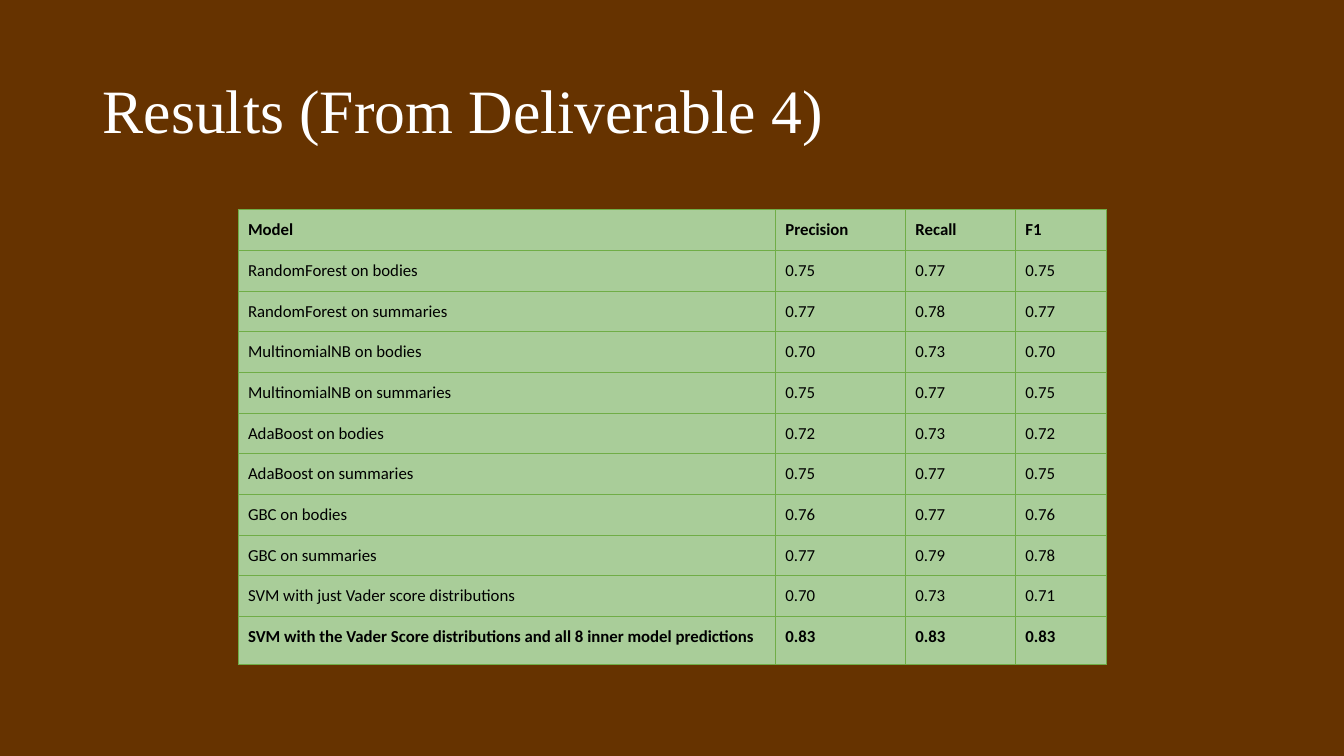
"""Build the model results slide with its score table."""
from lxml import etree
from pptx import Presentation, util as u
from pptx.dml.color import RGBColor
from pptx.enum import text
from pptx.oxml.ns import qn

TITLE = "Results (From Deliverable 4)"
ROWS = [
    ("Model", "Precision", "Recall", "F1"),
    ("RandomForest on bodies", "0.75", "0.77", "0.75"),
    ("RandomForest on summaries", "0.77", "0.78", "0.77"),
    ("MultinomialNB on bodies", "0.70", "0.73", "0.70"),
    ("MultinomialNB on summaries", "0.75", "0.77", "0.75"),
    ("AdaBoost on bodies", "0.72", "0.73", "0.72"),
    ("AdaBoost on summaries", "0.75", "0.77", "0.75"),
    ("GBC on bodies", "0.76", "0.77", "0.76"),
    ("GBC on summaries", "0.77", "0.79", "0.78"),
    ("SVM with just Vader score distributions", "0.70", "0.73", "0.71"),
    ("SVM with the Vader Score distributions and all 8 inner model predictions",
     "0.83", "0.83", "0.83"),
]
COLORS = {"background": "663300", "title": "FFFFFF", "cell": "A9CD99",
          "border": "70AD47", "text": "000000"}
COLUMN_WIDTHS = [5.33, 1.29, 1.09, 0.9]
ROW_HEIGHTS = [0.4] * (len(ROWS) - 1) + [0.48]
BOLD_ROWS = {0, len(ROWS) - 1}


def color(name):
    return RGBColor.from_string(COLORS[name])


def style_font(font, name, size, color_name, bold=False):
    font.name, font.size, font.bold = name, u.Pt(size), bold
    font.color.rgb = color(color_name)


def add_borders(cell):
    properties = cell._tc.get_or_add_tcPr()
    for index, side in enumerate(("lnL", "lnR", "lnT", "lnB")):
        line = etree.Element(qn(f"a:{side}"), w=str(u.Pt(0.5)))
        fill = etree.SubElement(line, qn("a:solidFill"))
        etree.SubElement(fill, qn("a:srgbClr"), val=COLORS["border"])
        properties.insert(index, line)


def fill_cell(cell, content, bold):
    cell.text = content
    cell.margin_left = cell.margin_right = u.Inches(0.1)
    cell.margin_top = cell.margin_bottom = u.Inches(0.1)
    cell.fill.solid()
    cell.fill.fore_color.rgb = color("cell")
    style_font(cell.text_frame.paragraphs[0].font, "Calibri", 12, "text", bold)
    add_borders(cell)


presentation = Presentation()
presentation.slide_width, presentation.slide_height = u.Inches(13.33), u.Inches(7.5)
slide = presentation.slides.add_slide(presentation.slide_layouts[5])
slide.background.fill.solid()
slide.background.fill.fore_color.rgb = color("background")

title = slide.shapes.title
title.left, title.top, title.width, title.height = map(u.Inches, (0.92, 0.4, 11.5, 1.45))
title.text_frame.text = TITLE
title.text_frame.vertical_anchor = text.MSO_ANCHOR.MIDDLE
paragraph = title.text_frame.paragraphs[0]
paragraph.alignment = text.PP_ALIGN.LEFT
paragraph.line_spacing = 0.9
style_font(paragraph.font, "Times New Roman", 44, "title")

table = slide.shapes.add_table(
    len(ROWS), len(COLUMN_WIDTHS), u.Inches(2.36), u.Inches(2.08),
    u.Inches(sum(COLUMN_WIDTHS)), u.Inches(sum(ROW_HEIGHTS))).table
table.first_row = table.horz_banding = False
for column, width in zip(table.columns, COLUMN_WIDTHS):
    column.width = u.Inches(width)
for index, (row, height, contents) in enumerate(zip(table.rows, ROW_HEIGHTS, ROWS)):
    row.height = u.Inches(height)
    for cell, content in zip(row.cells, contents):
        fill_cell(cell, content, index in BOLD_ROWS)

presentation.save("out.pptx")
